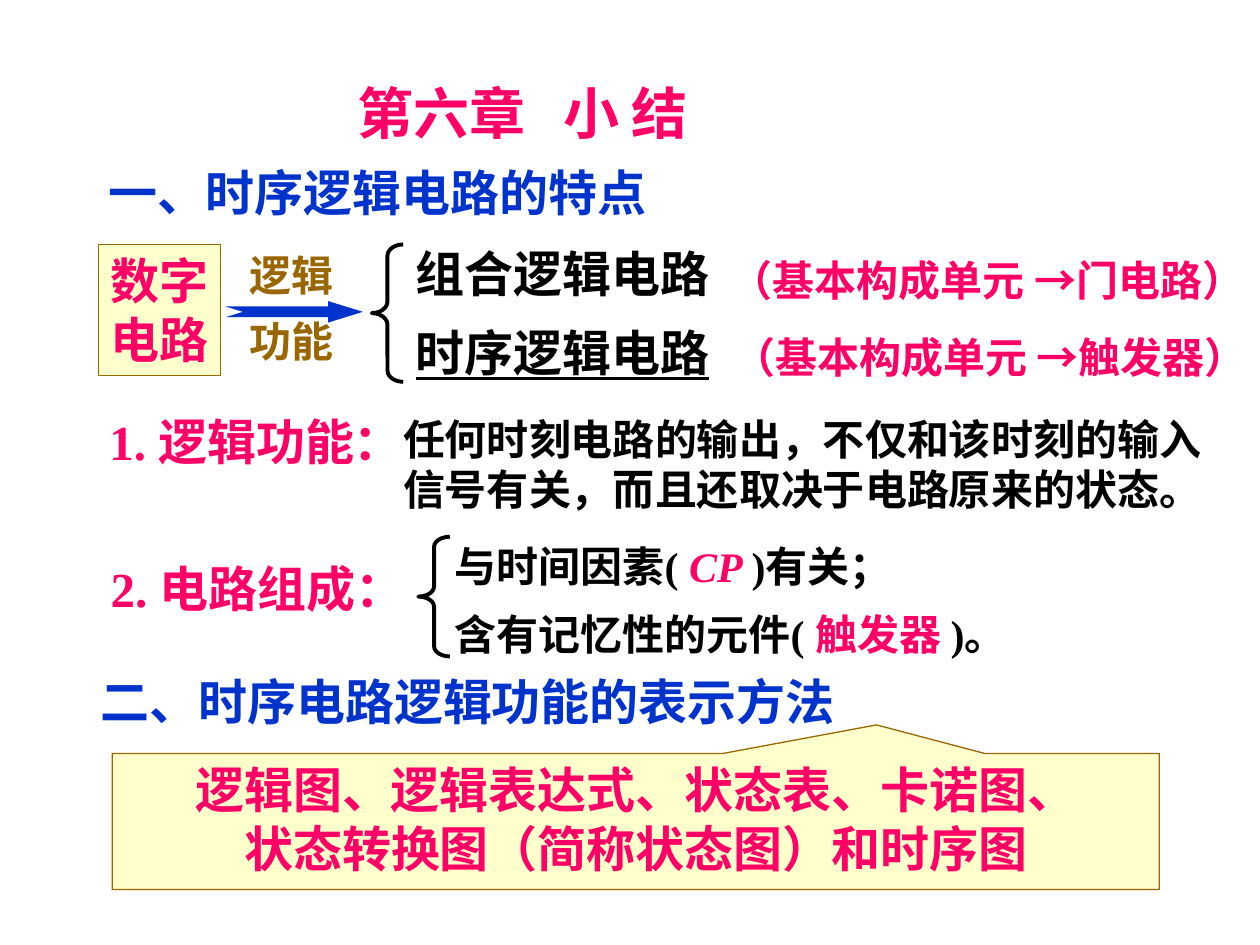
from pptx import Presentation
from pptx.dml.color import RGBColor
from pptx.enum.shapes import MSO_SHAPE as Shape
from pptx.enum.text import MSO_ANCHOR as Anchor, MSO_AUTO_SIZE as Auto, PP_ALIGN as Align
from pptx.oxml.ns import qn
from pptx.util import Pt
from lxml.etree import SubElement

PX = 9144
COLORS = {
    "pink": "FF0066",
    "blue": "0033CC",
    "brown": "996600",
    "cream": "FFFFCC",
    "black": "000000",
}


def px(*values):
    return [v * PX for v in values]


def rgb(name):
    return RGBColor.from_string(COLORS[name])


class SummarySlide:
    latin = "Times New Roman"
    asian = "Noto Sans CJK SC"

    def __init__(self, prs):
        self.s = prs.slides.add_slide(prs.slide_layouts[5])

    def run(self, p, text, color, size, **extra):
        r = p.add_run()
        r.text = text
        fmt = {"name": self.latin, "size": Pt(size), "bold": True, **extra}
        for key, value in fmt.items():
            setattr(r.font, key, value)
        r.font.color.rgb = rgb(color)
        SubElement(r._r.get_or_add_rPr(), qn("a:ea")).set("typeface", self.asian)

    def fill_text(self, sp, lines, color, size, para=None, frame=None, **font):
        tf = sp.text_frame
        defaults = {"word_wrap": True, "auto_size": Auto.SHAPE_TO_FIT_TEXT, "vertical_anchor": Anchor.TOP}
        for key, value in {**defaults, **(frame or {})}.items():
            setattr(tf, key, value)
        for i, line in enumerate(lines):
            p = tf.add_paragraph() if i else tf.paragraphs[0]
            for key, value in {"alignment": Align.LEFT, **(para or {})}.items():
                if i or key != "space_before":
                    setattr(p, key, value)
            runs = [(line, {})] if isinstance(line, str) else line
            for text, change in runs:
                self.run(p, text, **{"color": color, "size": size, **font, **change})
        return tf

    def title(self, box, text, tab, color, size):
        sp = self.s.shapes.title
        sp.left, sp.top, sp.width, sp.height = px(*box)
        tf = self.fill_text(sp, [text], color, size, name=self.asian)
        tabs = SubElement(tf.paragraphs[0]._p.get_or_add_pPr(), qn("a:tabLst"))
        stop = SubElement(tabs, qn("a:tab"))
        stop.set("pos", str(tab * PX))
        stop.set("algn", "l")

    def text(self, box, lines, color, size, **fmt):
        sp = self.s.shapes.add_textbox(*px(*box))
        self.fill_text(sp, lines, color, size, **fmt)

    def shape(self, kind, box, fill=None, line=None, weight=0.75, adjust=()):
        sp = self.s.shapes.add_shape(kind, *px(*box))
        sp.shadow.inherit = False
        for i, value in enumerate(adjust):
            sp.adjustments[i] = value
        if fill:
            sp.fill.solid()
            sp.fill.fore_color.rgb = rgb(fill)
        else:
            sp.fill.background()
        if line:
            sp.line.color.rgb = rgb(line)
            sp.line.width = Pt(weight)
        else:
            sp.line.fill.background()
        return sp

    def panel(self, kind, box, lines, adjust=(), frame=None, **fmt):
        sp = self.shape(kind, box, "cream", "brown", adjust=adjust)
        self.fill_text(sp, lines, "pink", 28, frame={"auto_size": Auto.NONE, **(frame or {})}, **fmt)

    def brace(self, box, curve):
        self.shape(Shape.LEFT_BRACE, box, line="black", weight=2.25, adjust=(curve, 0.5))


def main():
    prs = Presentation()
    prs.slide_width, prs.slide_height = px(1000, 750)
    slide = SummarySlide(prs)
    pink = {"color": "pink"}

    slide.title((274, 57, 492, 64), "第六章\t小 结", 163, "pink", 32)
    slide.text((76, 124, 884, 57), ["一、时序逻辑电路的特点"], "blue", 28)

    slide.panel(Shape.RECTANGLE, (78, 194, 97, 104), ["数字", "电路"], frame={"margin_right": 0})
    slide.shape(Shape.NOTCHED_RIGHT_ARROW, (179, 239, 109, 17), fill="blue", adjust=(0.5, 1.62))
    slide.text((188, 206, 162, 88), ["逻辑", "功能"], "brown", 24,
               para={"line_spacing": 0.65, "space_before": Pt(18.7)})
    slide.brace((295, 194, 25, 109), 0.36)
    slide.text((320, 188, 319, 57), ["组合逻辑电路"], "black", 28)
    slide.text((320, 251, 389, 57), ["时序逻辑电路"], "black", 28, underline=True)
    slide.text((570, 197, 484, 50), ["（基本构成单元 →门电路）"], "pink", 24)
    slide.text((572, 258, 476, 50), ["（基本构成单元 →触发器）"], "pink", 24)

    slide.text((310, 323, 685, 90),
               ["任何时刻电路的输出，不仅和该时刻的输入", "信号有关，而且还取决于电路原来的状态。"],
               "black", 24)
    slide.text((77, 322, 384, 57), ["1. 逻辑功能："], "pink", 28)
    slide.text((78, 438, 422, 57), ["2. 电路组成："], "pink", 28)
    slide.text((351, 424, 480, 50),
               [[("与时间因素( ", {}), ("CP ", {**pink, "italic": True}), (")有关；", {})]],
               "black", 24)
    slide.text((351, 478, 534, 50),
               [[("含有记忆性的元件( ", {}), ("触发器 ", pink), (")。", {})]],
               "black", 24)
    slide.brace((332, 426, 25, 95), 0.32)

    slide.text((70, 528, 884, 57), ["二、时序电路逻辑功能的表示方法"], "blue", 28)
    slide.panel(Shape.RECTANGULAR_CALLOUT, (89, 598, 831, 108),
                ["逻辑图、逻辑表达式、状态表、卡诺图、", "状态转换图（简称状态图）和时序图"],
                adjust=(0.23, -0.71), para={"alignment": Align.CENTER})

    prs.save("out.pptx")


if __name__ == "__main__":
    main()
